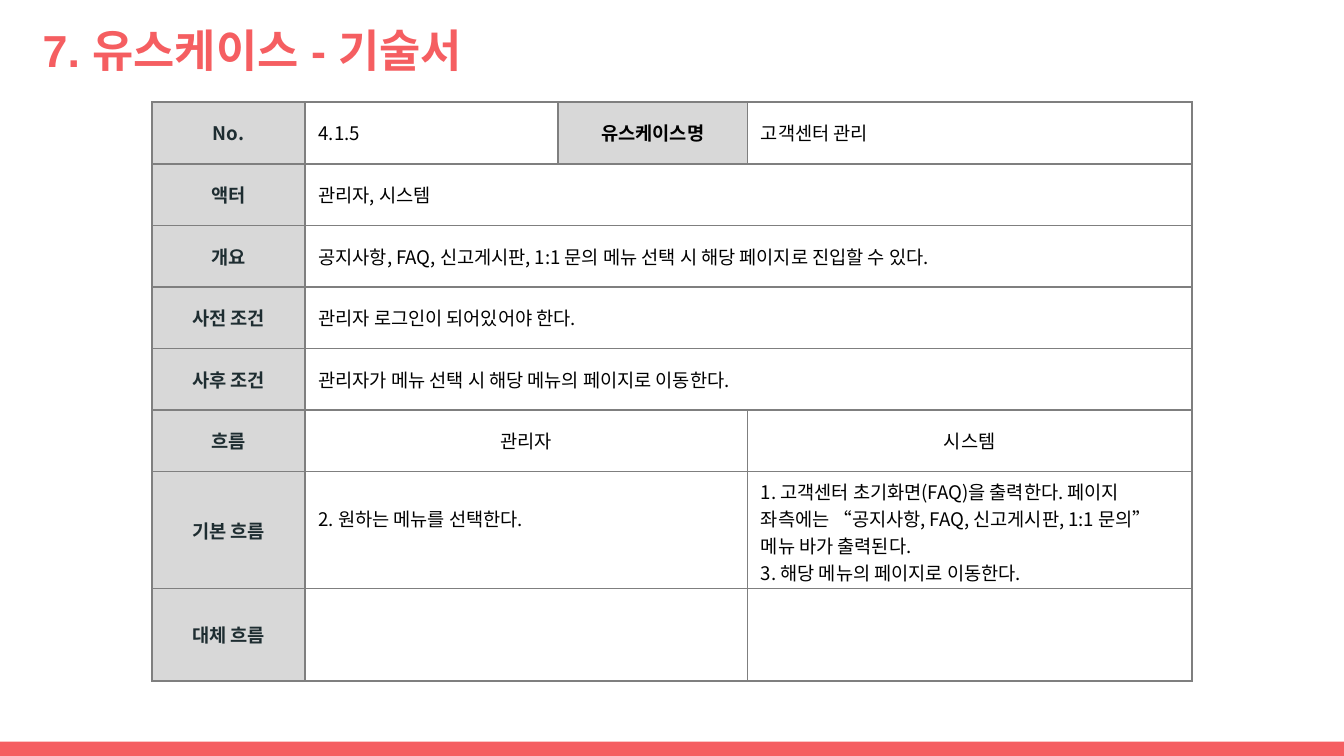
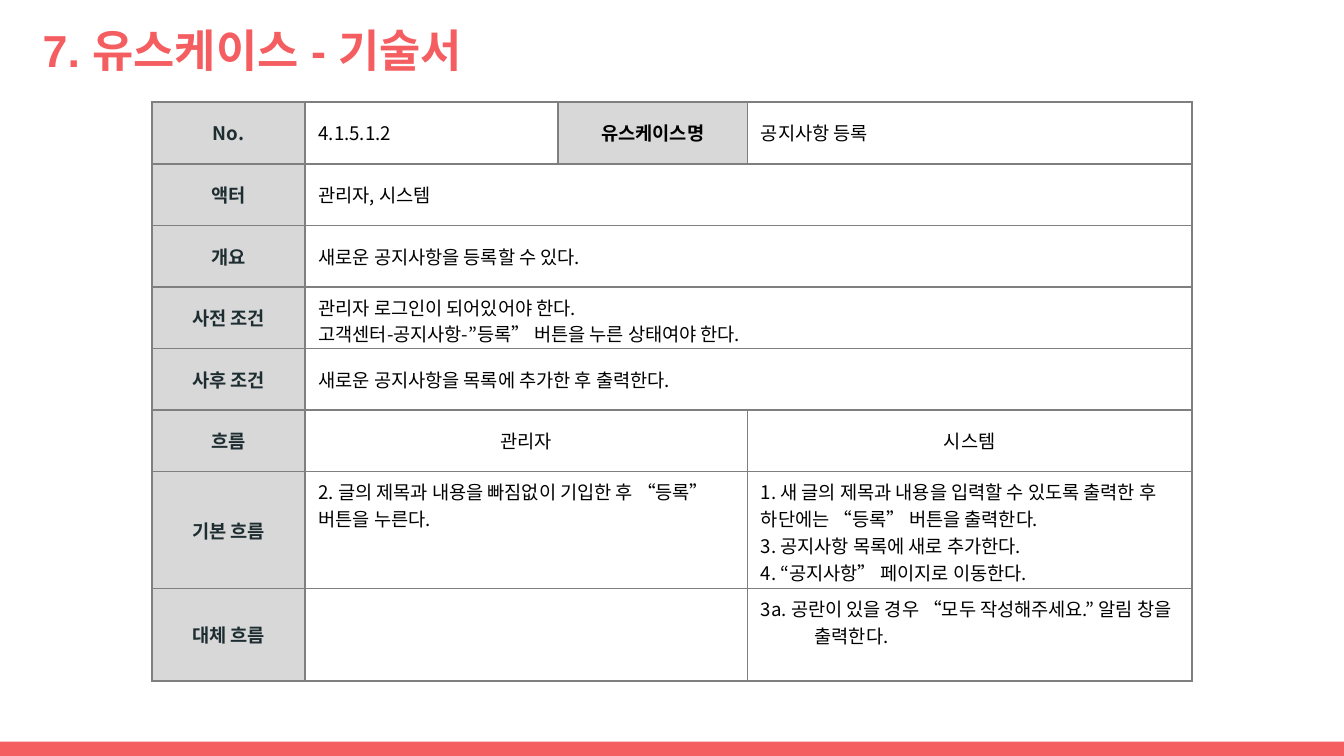
from collections import namedtuple

from lxml import etree
from pptx import Presentation
from pptx.dml import color
from pptx.enum import shapes, text
from pptx.oxml import ns
from pptx.util import Pt

Box = namedtuple("Box", "left top width height")

CORAL, SLATE, BLACK = "F55E61", "1E2D31", "000000"
HEADER_FILL, BORDER = "D8D8D8", "7F7F7F"
TITLE_FONT, TABLE_FONT = "Arial", "Noto Sans CJK KR"
CENTER, LEFT = text.PP_ALIGN.CENTER, text.PP_ALIGN.LEFT
MIDDLE, TOP = text.MSO_ANCHOR.MIDDLE, text.MSO_ANCHOR.TOP

SLIDE_SIZE = (720, 405)
TITLE_BOX = Box(15.8, 5, 671, 43.2)
TABLE_BOX = Box(81.5, 54.7, 557, 310.3)
BAND_BOX = Box(0, 397.3, 720, 7.7)
COLUMN_WIDTHS = (82, 135.5, 101.5, 238)
ROW_HEIGHTS = (33,) * 6 + (62.6, 49.7)
LINE_HEIGHT = 14.4

TITLE = "7. 유스케이스 - 기술서"
ROW_LABELS = ("No.", "액터", "개요", "사전 조건", "사후 조건", "흐름", "기본 흐름", "대체 흐름")
ACTORS = ("관리자", "시스템")

USE_CASES = [
    {
        "number": "4.1.5",
        "name": "고객센터 관리",
        "details": [
            ["관리자, 시스템"],
            ["공지사항, FAQ, 신고게시판, 1:1 문의 메뉴 선택 시 해당 페이지로 진입할 수 있다."],
            ["관리자 로그인이 되어있어야 한다."],
            ["관리자가 메뉴 선택 시 해당 메뉴의 페이지로 이동한다."],
        ],
        "admin_flow": ["2. 원하는 메뉴를 선택한다."],
        "admin_offset": LINE_HEIGHT,
        "system_flow": [
            "1. 고객센터 초기화면(FAQ)을 출력한다. 페이지 좌측에는 “공지사항, FAQ, 신고게시판, 1:1 문의” 메뉴 바가 출력된다.",
            "3. 해당 메뉴의 페이지로 이동한다.",
        ],
        "alternative": [],
    },
    {
        "number": "4.1.5.1.2",
        "name": "공지사항 등록",
        "details": [
            ["관리자, 시스템"],
            ["새로운 공지사항을 등록할 수 있다."],
            ["관리자 로그인이 되어있어야 한다.", "고객센터-공지사항-”등록” 버튼을 누른 상태여야 한다."],
            ["새로운 공지사항을 목록에 추가한 후 출력한다."],
        ],
        "admin_flow": ["2. 글의 제목과 내용을 빠짐없이 기입한 후 “등록” 버튼을 누른다."],
        "admin_offset": 0,
        "system_flow": [
            "1. 새 글의 제목과 내용을 입력할 수 있도록 출력한 후 하단에는 “등록” 버튼을 출력한다.",
            "3. 공지사항 목록에 새로 추가한다.",
            "4. “공지사항” 페이지로 이동한다.",
        ],
        "alternative": ["3a. 공란이 있을 경우 “모두 작성해주세요.” 알림 창을 출력한다."],
    },
]


def rgb(value):
    """Turn a hex string into a colour."""
    return color.RGBColor.from_string(value)


def apply(target, formats):
    """Set every attribute of a format dict on the target."""
    for name, value in formats.items():
        setattr(target, name, value)


def points(box):
    """Return the sides of a box as lengths in points."""
    return [Pt(value) for value in box]


def write(paragraph, words, font_name, size, ink, bold):
    """Write one run with the same typeface for Latin and Korean."""
    run = paragraph.add_run()
    run.text = words
    apply(run.font, {"name": font_name, "size": Pt(size), "bold": bold})
    run.font.color.rgb = rgb(ink)
    etree.SubElement(run.font._element, ns.qn("a:ea"), typeface=font_name)


def add_title(slide, box):
    """Place the slide title in its box."""
    frame = slide.shapes.add_textbox(*points(box)).text_frame
    margins = dict.fromkeys(("margin_left", "margin_top", "margin_right", "margin_bottom"), Pt(7.2))
    apply(frame, {"word_wrap": True, "vertical_anchor": TOP, **margins})
    write(frame.paragraphs[0], TITLE, TITLE_FONT, 24, CORAL, True)


def add_band(slide, box):
    """Place the coloured footer band."""
    band = slide.shapes.add_shape(shapes.MSO_SHAPE.RECTANGLE, *points(box))
    band.shadow.inherit = False
    band.fill.solid()
    band.fill.fore_color.rgb = rgb(CORAL)
    band.line.fill.background()


def style_cell(cell, fill=None):
    """Give a cell its border, margins and fill."""
    apply(cell, {"margin_left": Pt(7.2), "margin_right": Pt(7.2),
                 "margin_top": Pt(3.6), "margin_bottom": Pt(3.6)})
    properties = cell._tc.get_or_add_tcPr()
    for side in ("a:lnL", "a:lnR", "a:lnT", "a:lnB"):
        line = etree.SubElement(properties, ns.qn(side), w=str(Pt(1)))
        solid = etree.SubElement(line, ns.qn("a:solidFill"))
        etree.SubElement(solid, ns.qn("a:srgbClr"), val=BORDER)
    if fill:
        cell.fill.solid()
        cell.fill.fore_color.rgb = rgb(fill)
    else:
        cell.fill.background()


def fill_cell(cell, lines, align=LEFT, anchor=MIDDLE, ink=BLACK, bold=False):
    """Write lines of text into a cell, one paragraph each."""
    cell.vertical_anchor = anchor
    for index, words in enumerate(lines):
        frame = cell.text_frame
        paragraph = frame.add_paragraph() if index else frame.paragraphs[0]
        paragraph.alignment = align
        write(paragraph, words, TABLE_FONT, 10, ink, bold)


def add_use_case_table(slide, box, use_case):
    """Place the use case description table."""
    table = slide.shapes.add_table(len(ROW_HEIGHTS), len(COLUMN_WIDTHS), *points(box)).table
    apply(table, {"first_row": False, "horz_banding": False})
    for column, width in zip(table.columns, COLUMN_WIDTHS):
        column.width = Pt(width)
    for index, (row, height) in enumerate(zip(table.rows, ROW_HEIGHTS)):
        row.height = Pt(height)
        for position, cell in enumerate(row.cells):
            is_header = position == 0 or (index, position) == (0, 2)
            style_cell(cell, HEADER_FILL if is_header else None)
        if index:
            table.cell(index, 1).merge(table.cell(index, 3 if index < 5 else 2))
        fill_cell(table.cell(index, 0), [ROW_LABELS[index]], CENTER, ink=SLATE, bold=True)

    fill_cell(table.cell(0, 1), [use_case["number"]])
    fill_cell(table.cell(0, 2), ["유스케이스명"], CENTER, bold=True)
    fill_cell(table.cell(0, 3), [use_case["name"]])
    for index, lines in enumerate(use_case["details"], 1):
        fill_cell(table.cell(index, 1), lines)
    for position, actor in zip((1, 3), ACTORS):
        fill_cell(table.cell(5, position), [actor], CENTER)

    admin_cell, alternative_cell = table.cell(6, 1), table.cell(7, 3)
    fill_cell(admin_cell, use_case["admin_flow"], anchor=TOP)
    admin_cell.margin_top = Pt(3.6 + use_case["admin_offset"])
    fill_cell(table.cell(6, 3), use_case["system_flow"], anchor=TOP)
    fill_cell(alternative_cell, use_case["alternative"], anchor=TOP)
    if use_case["alternative"]:
        properties = alternative_cell.text_frame.paragraphs[0]._p.get_or_add_pPr()
        properties.set("marL", str(Pt(28.8)))
        properties.set("indent", str(Pt(-28.8)))


def add_use_case_slide(presentation, use_case):
    """Build one use case slide."""
    slide = presentation.slides.add_slide(presentation.slide_layouts[6])
    add_band(slide, BAND_BOX)
    add_title(slide, TITLE_BOX)
    add_use_case_table(slide, TABLE_BOX, use_case)


def main():
    """Build the presentation and save it."""
    presentation = Presentation()
    width, height = points(SLIDE_SIZE)
    apply(presentation, {"slide_width": width, "slide_height": height})
    for use_case in USE_CASES:
        add_use_case_slide(presentation, use_case)
    presentation.save("out.pptx")


if __name__ == "__main__":
    main()
